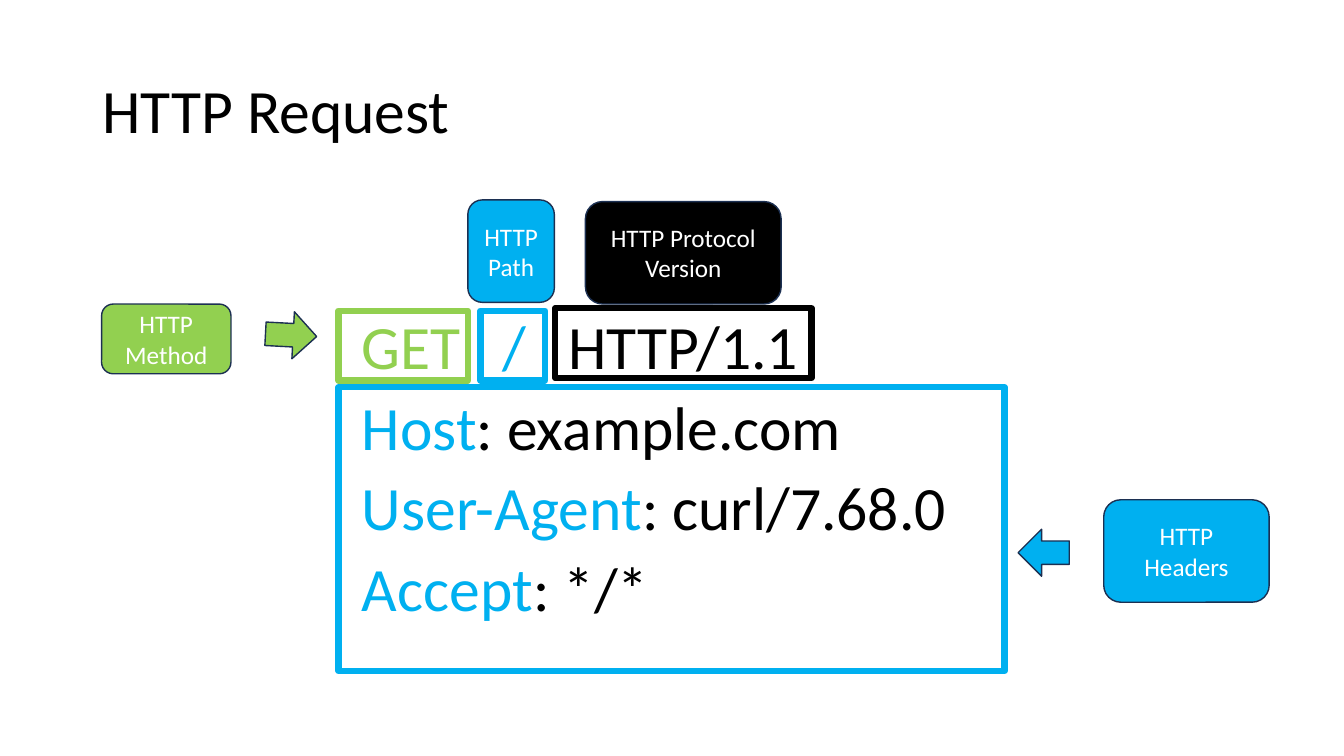
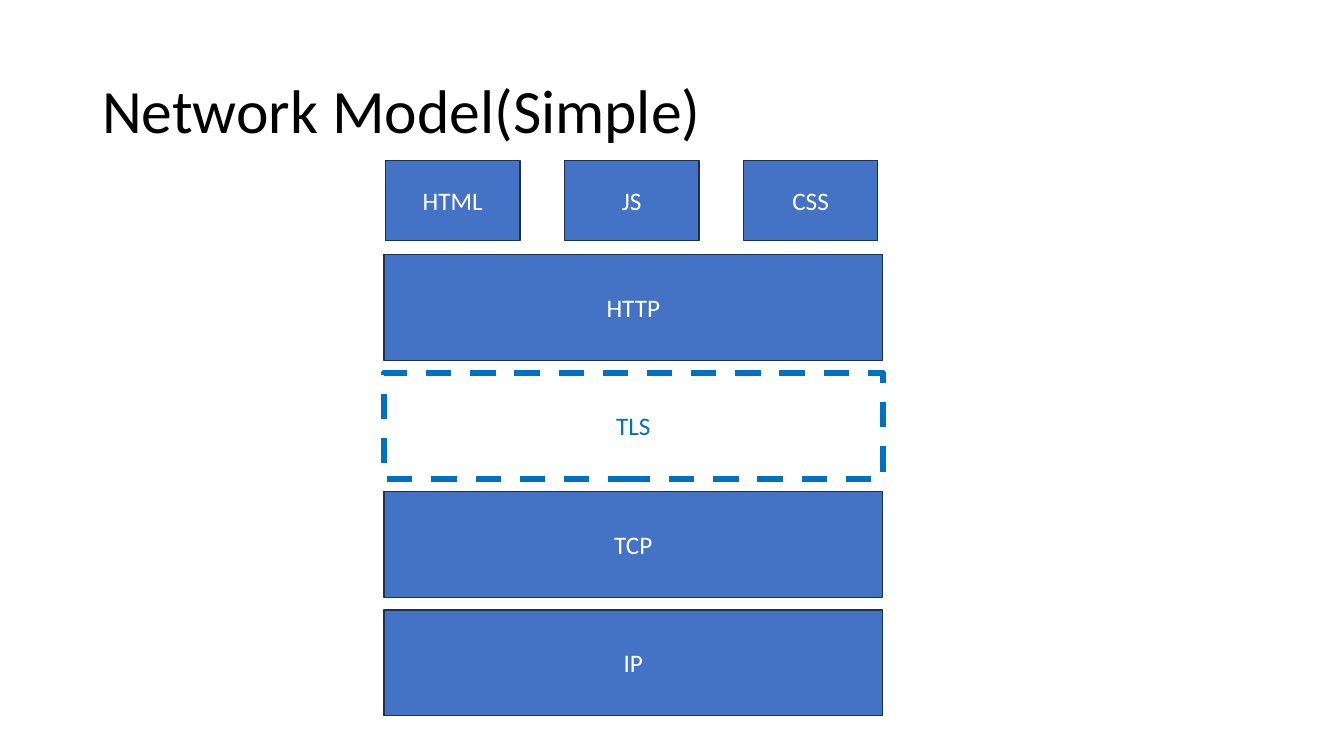
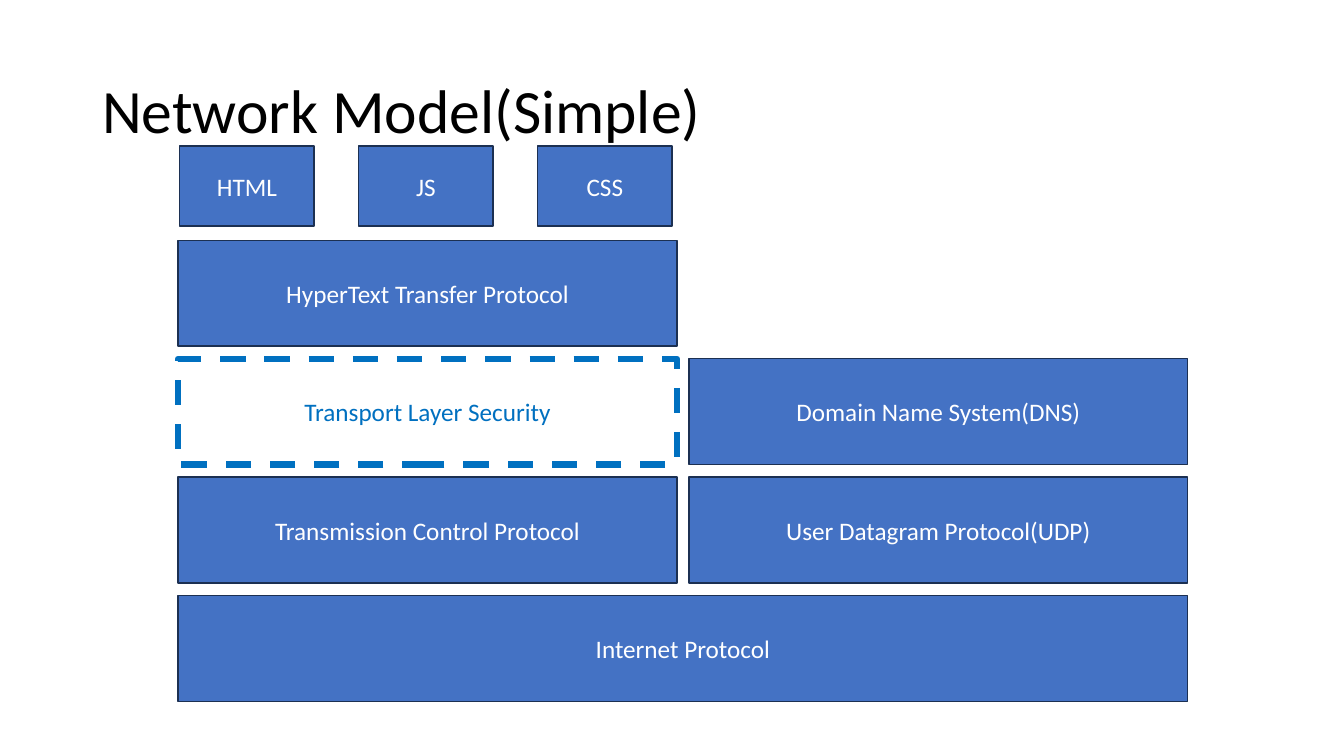
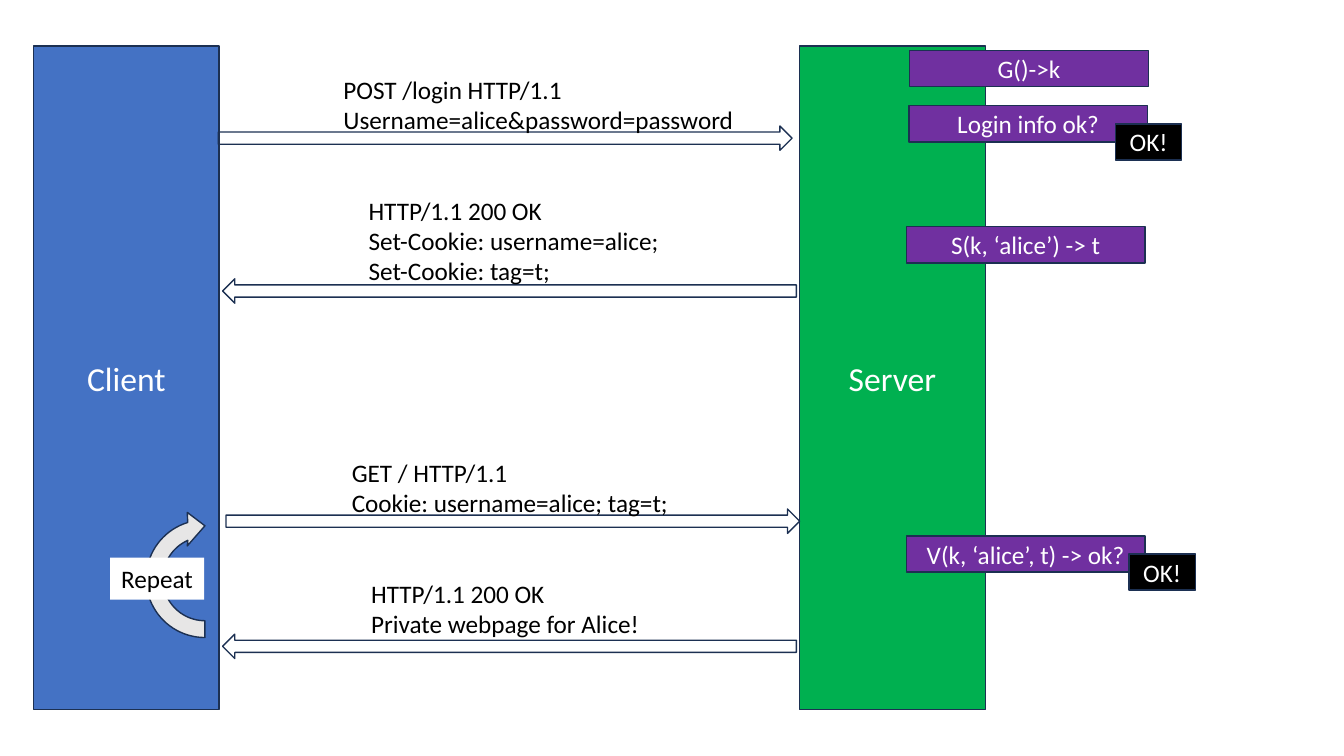
import math
from dataclasses import dataclass

from pptx import Presentation
from pptx import util as u
from pptx.dml.color import RGBColor
from pptx.enum import dml, shapes, text
from pptx.oxml import ns, xmlchemy

COLUMNS, ROWS = 160, 90
CELL = u.Emu(76200)
FONT = "Calibri"

BLACK = RGBColor(0x00, 0x00, 0x00)
WHITE = RGBColor(0xFF, 0xFF, 0xFF)
NAVY = RGBColor(0x1C, 0x30, 0x52)
BLUE = RGBColor(0x44, 0x72, 0xC4)
DEEP_BLUE = RGBColor(0x00, 0x70, 0xC0)
SKY = RGBColor(0x00, 0xB0, 0xF0)
LIME = RGBColor(0x92, 0xD0, 0x50)
GREEN = RGBColor(0x00, 0xB0, 0x50)
PURPLE = RGBColor(0x70, 0x30, 0xA0)
PALE_GREY = RGBColor(0xE7, 0xE6, 0xE6)

KIND = shapes.MSO_SHAPE
CENTER, LEFT = text.PP_ALIGN.CENTER, text.PP_ALIGN.LEFT
MIDDLE, TOP = text.MSO_ANCHOR.MIDDLE, text.MSO_ANCHOR.TOP


@dataclass
class Box:
    x: float
    y: float
    w: float
    h: float

    def inner(self, x, y, w, h):
        return Box(self.x + x, self.y + y, w, h)

    def emu(self):
        return [round(cells * CELL) for cells in (self.x, self.y, self.w, self.h)]


TITLE_BOX = Box(11, 4.8, 138, 17.4)


def set_tabs(paragraph, stops):
    properties = paragraph._p.get_or_add_pPr()
    tabs = xmlchemy.OxmlElement("a:tabLst")
    for stop in stops:
        tab = xmlchemy.OxmlElement("a:tab")
        tab.set("pos", str(round(stop * CELL)))
        tab.set("algn", "l")
        tabs.append(tab)
    properties.insert_element_before(tabs, "a:defRPr", "a:extLst")


def write(shape, lines, size=18, color=WHITE, align=CENTER, anchor=MIDDLE,
          spacing=None, before=0, tabs=()):
    frame = shape.text_frame
    frame.word_wrap = True
    frame.vertical_anchor = anchor
    for index, line in enumerate(lines):
        paragraph = frame.add_paragraph() if index else frame.paragraphs[0]
        if tabs and index == 0:
            set_tabs(paragraph, tabs)
        paragraph.alignment = align
        if spacing:
            paragraph.line_spacing = spacing
        if index and before:
            paragraph.space_before = u.Pt(before)
        for words, shade in [(line, color)] if isinstance(line, str) else line:
            run = paragraph.add_run()
            run.text = words
            run.font.name = FONT
            run.font.size = u.Pt(size)
            run.font.color.rgb = shade


def paint(shape, fill=None, line=NAVY, width=1, dashed=False):
    shape.shadow.inherit = False
    if fill is None:
        shape.fill.background()
    else:
        shape.fill.solid()
        shape.fill.fore_color.rgb = fill
    if line is None:
        shape.line.fill.background()
        return
    shape.line.color.rgb = line
    shape.line.width = u.Pt(width)
    if dashed:
        shape.line.dash_style = dml.MSO_LINE.DASH


def draw(slide, box, kind=KIND.RECTANGLE, label=None, size=18, color=WHITE, **look):
    shape = slide.shapes.add_shape(kind, *box.emu())
    paint(shape, **look)
    if label:
        write(shape, [label], size=size, color=color)
    return shape


def note(slide, box, lines, **style):
    style = {"color": BLACK, "align": LEFT, "anchor": TOP, **style}
    write(slide.shapes.add_textbox(*box.emu()), lines, **style)


def title(slide, words):
    note(slide, TITLE_BOX, [words], size=44, anchor=MIDDLE, spacing=0.9)


def request(slide, box):
    message = [
        [("GET\t", LIME), ("/\t", SKY), ("HTTP/1.1", BLACK)],
        [("Host", SKY), (": example.com", BLACK)],
        [("User-Agent", SKY), (": curl/7.68.0", BLACK)],
        [("Accept", SKY), (": */*", BLACK)],
    ]
    note(slide, box.inner(29.8, 13.3, 76.3, 50), message, size=44,
         spacing=0.9, before=10, tabs=(16.8, 24.6))

    frames = [
        ((28.2, 22.3, 79.3, 33.8), SKY),
        ((28.2, 13.2, 15.4, 8.3), LIME),
        ((45.1, 13.2, 7.7, 8.3), SKY),
        ((54, 12.9, 30.5, 8.3), BLACK),
    ]
    for place, color in frames:
        draw(slide, box.inner(*place), line=color, width=4.5)

    labels = [
        ("HTTP Headers", (119.3, 35.7, 19.7, 12.2), SKY),
        ("HTTP Method", (0, 12.4, 15.4, 8.3), LIME),
        ("HTTP Path", (43.6, 0, 10.3, 12.2), SKY),
        ("HTTP Protocol Version", (57.6, 0.2, 23.3, 12.2), BLACK),
    ]
    for label, place, fill in labels:
        draw(slide, box.inner(*place), KIND.ROUNDED_RECTANGLE, label, fill=fill)

    draw(slide, box.inner(109.1, 39.2, 6.1, 5.6), KIND.LEFT_ARROW, fill=SKY)
    method_arrow = draw(slide, box.inner(19.5, 13.3, 6.1, 5.6), KIND.RIGHT_ARROW, fill=LIME)
    method_arrow.rotation = 3.1


def network_model(slide, box, layers, optional):
    tile_w, tile_h, tile_pitch = 16, 9.5, 21.3
    layer_h, first_layer, layer_pitch = 12.6, 11.2, 14.1
    gap = 1.4
    columns = max(len(layer) for layer in layers)
    column_w = (box.w - gap * (columns - 1)) / columns

    for index, language in enumerate(("HTML", "JS", "CSS")):
        draw(slide, box.inner(0.2 + index * tile_pitch, 0, tile_w, tile_h),
             label=language, fill=BLUE)
    for row, layer in enumerate(layers):
        for column, protocol in enumerate(layer):
            width = box.w if row == len(layers) - 1 else column_w
            place = box.inner(column * (column_w + gap), first_layer + row * layer_pitch,
                              width, layer_h)
            if protocol == optional:
                draw(slide, place, label=protocol, color=DEEP_BLUE,
                     line=DEEP_BLUE, width=4.5, dashed=True)
            else:
                draw(slide, place, label=protocol, fill=BLUE)


def repeat_loop(slide, box):
    outer, inner = 7, 5
    center_x, center_y = box.x + box.w, box.y + box.h / 2

    def arc(radius, start, end, steps=40):
        angles = [math.radians(start + (end - start) * i / steps) for i in range(steps + 1)]
        return [(center_x + radius * math.cos(a), center_y + radius * math.sin(a))
                for a in angles]

    head = [(center_x - 2.1, center_y - 7.9), (center_x, center_y - 6.3),
            (center_x - 2.1, center_y - 3.9)]
    outline = arc(outer, 90, 253) + head + arc(inner, 246, 90)
    points = [(round(x * CELL), round(y * CELL)) for x, y in outline]
    builder = slide.shapes.build_freeform(*points[0])
    builder.add_line_segments(points[1:], close=True)
    paint(builder.convert_to_shape(), fill=PALE_GREY)
    draw(slide, Box(center_x - 11.3, center_y - 2.5, 11.2, 5), label="Repeat",
         color=BLACK, fill=WHITE, line=None)


def login_exchange(slide, box):
    for party, x, fill in (("Client", 0, BLUE), ("Server", 91.2, GREEN)):
        draw(slide, box.inner(x, 0, 22.1, box.h), label=party, size=24, fill=fill)

    messages = [
        (KIND.RIGHT_ARROW, (22, 9.5), (35.7, 2.7, 49.3, 8.5),
         ["POST /login HTTP/1.1", "Username=alice&password=password"]),
        (KIND.LEFT_ARROW, (22.5, 27.7), (38.7, 17.1, 37.4, 12.1),
         ["HTTP/1.1 200 OK", "Set-Cookie: username=alice;", "Set-Cookie: tag=t;"]),
        (KIND.RIGHT_ARROW, (22.9, 55.1), (36.7, 48.3, 40.6, 8.5),
         ["GET / HTTP/1.1", "Cookie: username=alice; tag=t;"]),
        (KIND.LEFT_ARROW, (22.5, 70), (39, 62.7, 34.7, 8.5),
         ["HTTP/1.1 200 OK", "Private webpage for Alice!"]),
    ]
    for direction, start, place, lines in messages:
        draw(slide, box.inner(*start, 68.3, 2.9), direction)
        note(slide, box.inner(*place), lines)

    step_h = 4.3
    steps = [
        ("G()->k", 104.3, 0.5, None),
        ("Login info ok?", 104.2, 7.1, 24.6),
        ("S(k, ‘alice’) -> t", 103.9, 21.5, None),
        ("V(k, ‘alice’, t) -> ok?", 103.9, 58.3, 26.5),
    ]
    for step, x, y, verdict_shift in steps:
        draw(slide, box.inner(x, y, 28.4, step_h), label=step, fill=PURPLE)
        if verdict_shift:
            draw(slide, box.inner(x + verdict_shift, y + step_h / 2, 7.9, step_h),
                 label="OK!", fill=BLACK)

    repeat_loop(slide, box.inner(13.4, 55.5, 7, 15.8))


def main():
    deck = Presentation()
    deck.slide_width, deck.slide_height = COLUMNS * CELL, ROWS * CELL
    blank = deck.slide_layouts[6]

    def new_slide(heading=None):
        slide = deck.slides.add_slide(blank)
        if heading:
            title(slide, heading)
        return slide

    request(new_slide("HTTP Request"), Box(12.1, 23.8, 139, 63.3))

    models = [
        (Box(45.7, 19.1, 59.4, 66.1), "TLS",
         [["HTTP"], ["TLS"], ["TCP"], ["IP"]]),
        (Box(21.2, 17.4, 120.2, 66.1), "Transport Layer Security",
         [["HyperText Transfer Protocol"],
          ["Transport Layer Security", "Domain Name System(DNS)"],
          ["Transmission Control Protocol", "User Datagram Protocol(UDP)"],
          ["Internet Protocol"]]),
    ]
    for box, optional, layers in models:
        network_model(new_slide("Network Model(Simple)"), box, layers, optional)

    login_exchange(new_slide(), Box(4, 5.5, 138.3, 79))
    deck.save("out.pptx")


if __name__ == "__main__":
    main()
